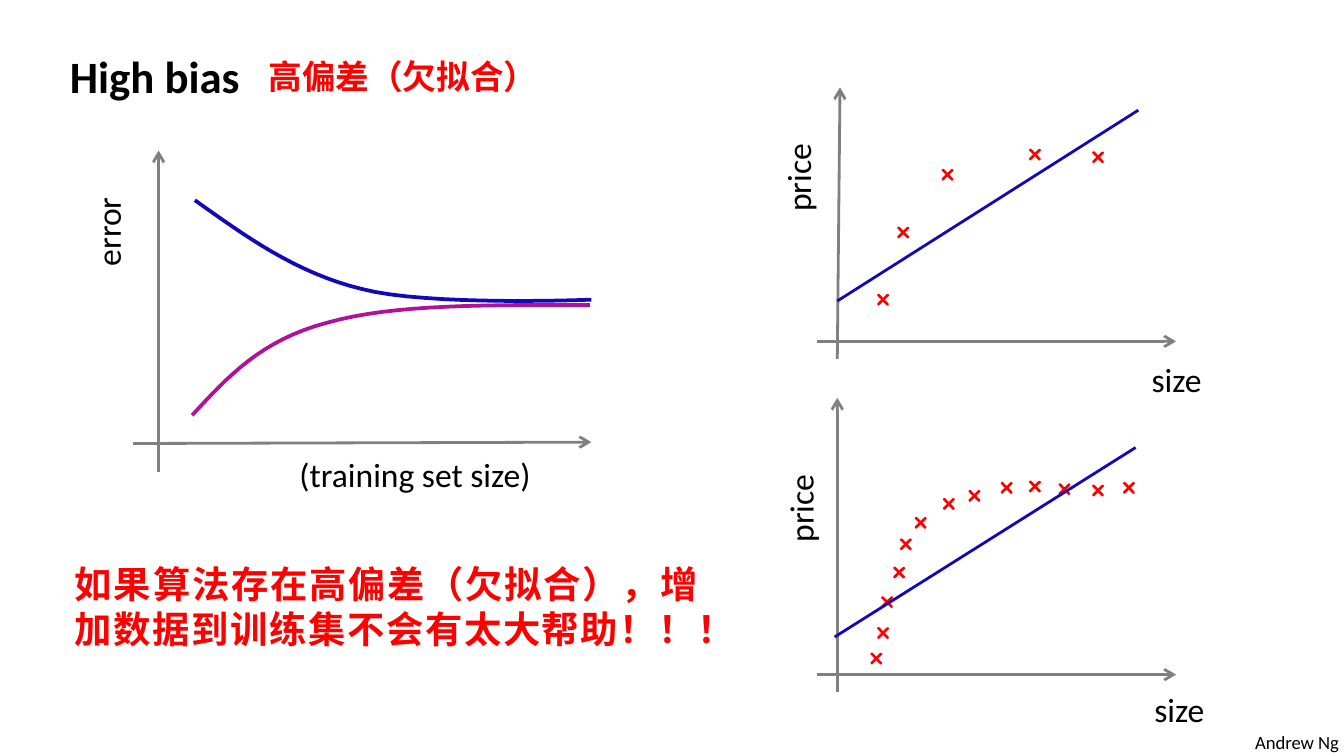
from dataclasses import dataclass

from lxml import etree
from pptx import Presentation
from pptx.dml.color import RGBColor
from pptx.enum.shapes import MSO_CONNECTOR, MSO_SHAPE
from pptx.enum.text import MSO_ANCHOR, MSO_AUTO_SIZE, PP_ALIGN
from pptx.oxml.ns import qn
from pptx.util import Inches, Pt

STRAIGHT = MSO_CONNECTOR.STRAIGHT
CROSS = MSO_SHAPE.CROSS
TOP = MSO_ANCHOR.TOP
NO_AUTOFIT = MSO_AUTO_SIZE.NONE
LEFT, JUSTIFY = PP_ALIGN.LEFT, PP_ALIGN.JUSTIFY
TITLE_ONLY = 5


@dataclass(frozen=True)
class Theme:
    latin: str = "Calibri"
    chinese: str = "Noto Sans CJK SC"
    text: str = "000000"
    accent: str = "FF0000"
    axis: str = "808080"
    blue: str = "1109B9"
    purple: str = "AF1198"
    title_size: int = 24
    statement_size: int = 20
    label_size: int = 18
    footer_size: int = 10


def bezier(p0, p1, p2, p3, steps=16):
    """Points along a cubic curve, without its start."""
    points = []
    for i in range(1, steps + 1):
        t = i / steps
        weights = ((1 - t) ** 3, 3 * t * (1 - t) ** 2, 3 * t * t * (1 - t), t ** 3)
        points.append(tuple(sum(w * p[axis] for w, p in zip(weights, (p0, p1, p2, p3)))
                            for axis in (0, 1)))
    return points


class SlideBuilder:
    def __init__(self, slide, theme):
        self.slide = slide
        self.shapes = slide.shapes
        self.theme = theme

    def format_text(self, s, text, size, color=None, bold=False, chinese=False,
                    align=LEFT, wrap=True):
        tf = s.text_frame
        tf.text = text
        tf.word_wrap = wrap
        tf.auto_size = NO_AUTOFIT
        tf.vertical_anchor = TOP
        p = tf.paragraphs[0]
        p.alignment = align
        font = p.runs[0].font
        font.size = Pt(size)
        font.bold = bold
        font.color.rgb = RGBColor.from_string(color or self.theme.text)
        font.name = self.theme.chinese if chinese else self.theme.latin
        if chinese:
            p.line_spacing = Pt(round(size * 1.2))
            ea = etree.SubElement(p.runs[0]._r.get_or_add_rPr(), qn("a:ea"))
            ea.set("typeface", self.theme.chinese)

    def title(self, text, x, y, w, h):
        s = self.shapes.title
        s.left, s.top, s.width, s.height = map(Inches, (x, y, w, h))
        self.format_text(s, text, self.theme.title_size, bold=True)

    def text(self, text, x, y, w, h, size, rotation=0, **style):
        s = self.shapes.add_textbox(*map(Inches, (x, y, w, h)))
        s.rotation = rotation
        self.format_text(s, text, size, **style)

    def label(self, text, x, y, w, **options):
        self.text(text, x, y, w, 0.4, self.theme.label_size, **options)

    def line(self, start, end, color, arrow=False):
        s = self.shapes.add_connector(STRAIGHT, *map(Inches, (*start, *end)))
        s.line.color.rgb = RGBColor.from_string(color)
        s.line.width = Pt(1.5)
        if arrow:
            etree.SubElement(s.line._get_or_add_ln(), qn("a:tailEnd")).set("type", "arrow")
        etree.SubElement(s._element.spPr, qn("a:effectLst"))

    def axis(self, start, end):
        self.line(start, end, self.theme.axis, arrow=True)

    def cross(self, x, y):
        s = self.shapes.add_shape(CROSS, *map(Inches, (x, y, 0.1, 0.1)))
        s.adjustments[0] = 0.47
        s.rotation = 45.6
        s.shadow.inherit = False
        s.fill.solid()
        s.fill.fore_color.rgb = RGBColor.from_string(self.theme.text)
        s.line.color.rgb = RGBColor.from_string(self.theme.accent)
        s.line.width = Pt(1)

    def curve(self, start, segments, color):
        points = [start]
        for segment in segments:
            points += bezier(points[-1], *segment)
        points = [(Inches(x), Inches(y)) for x, y in points]
        builder = self.shapes.build_freeform(*points[0])
        builder.add_line_segments(points[1:], close=False)
        s = builder.convert_to_shape()
        s.shadow.inherit = False
        s.fill.background()
        s.line.color.rgb = RGBColor.from_string(color)
        s.line.width = Pt(2)

    def scatter(self, y_axis, x_axis_y, crosses, trend, size_at, price_at):
        self.axis(*y_axis)
        self.axis((6.08, x_axis_y), (8.75, x_axis_y))
        for x, y in crosses:
            self.cross(x, y)
        self.label("size", *size_at, 0.67)
        self.label("price", *price_at, 0.71, rotation=270, wrap=False)
        self.line(*trend, self.theme.blue)


def main():
    prs = Presentation()
    prs.slide_width = Inches(10)
    prs.slide_height = prs.slide_width * 9 // 16
    theme = Theme()
    b = SlideBuilder(prs.slides.add_slide(prs.slide_layouts[TITLE_ONLY]), theme)
    red_chinese = dict(color=theme.accent, bold=True, chinese=True)

    # Heading and footer
    b.title("High bias", 0.42, 0.31, 4.67, 0.5)
    b.label("高偏差（欠拟合）", 1.9, 0.36, 2.22, wrap=False, **red_chinese)
    b.text("Andrew Ng", 9.24, 5.39, 0.84, 0.27, theme.footer_size, wrap=False)

    # Straight-line fit with few examples
    b.scatter(
        y_axis=((6.23, 2.67), (6.25, 0.65)), x_axis_y=2.54,
        crosses=[(6.52, 2.18), (6.67, 1.68), (7, 1.25), (7.65, 1.1), (8.12, 1.12)],
        trend=((6.23, 2.24), (8.47, 0.82)),
        size_at=(8.47, 2.62), price_at=(5.58, 1.12))

    # Straight-line fit with many examples
    b.scatter(
        y_axis=((6.23, 5.15), (6.23, 2.96)), x_axis_y=5.02,
        crosses=[(6.47, 4.85), (6.52, 4.66), (6.55, 4.43), (6.64, 4.21), (6.69, 4),
                 (6.8, 3.84), (7.01, 3.7), (7.2, 3.64), (7.44, 3.58), (7.65, 3.57),
                 (7.87, 3.59), (8.12, 3.6), (8.35, 3.58)],
        trend=((6.21, 4.74), (8.45, 3.33)),
        size_at=(8.49, 5.08), price_at=(5.6, 3.58))

    # Learning curves
    b.axis((1.18, 3.51), (1.18, 1.12))
    b.axis((0.99, 3.3), (4.4, 3.29))
    b.label("(training set size)", 2.13, 3.33, 3.54)
    b.label("error", 0.28, 1.36, 1.04, rotation=270)
    b.curve((1.45, 1.49), [((1.83, 1.76), (2.2, 2.03), (2.69, 2.15)),
                           ((3.18, 2.28), (4.4, 2.23), (4.4, 2.23))], theme.blue)
    b.curve((1.43, 3.09), [((1.69, 2.81), (1.94, 2.53), (2.44, 2.4)),
                           ((2.93, 2.26), (3.66, 2.27), (4.39, 2.27))], theme.purple)

    # Conclusion
    b.text("如果算法存在高偏差（欠拟合），增加数据到训练集不会有太大帮助！！！",
           0.46, 4.13, 4.83, 0.77, theme.statement_size, align=JUSTIFY, **red_chinese)

    prs.save("out.pptx")


if __name__ == "__main__":
    main()
